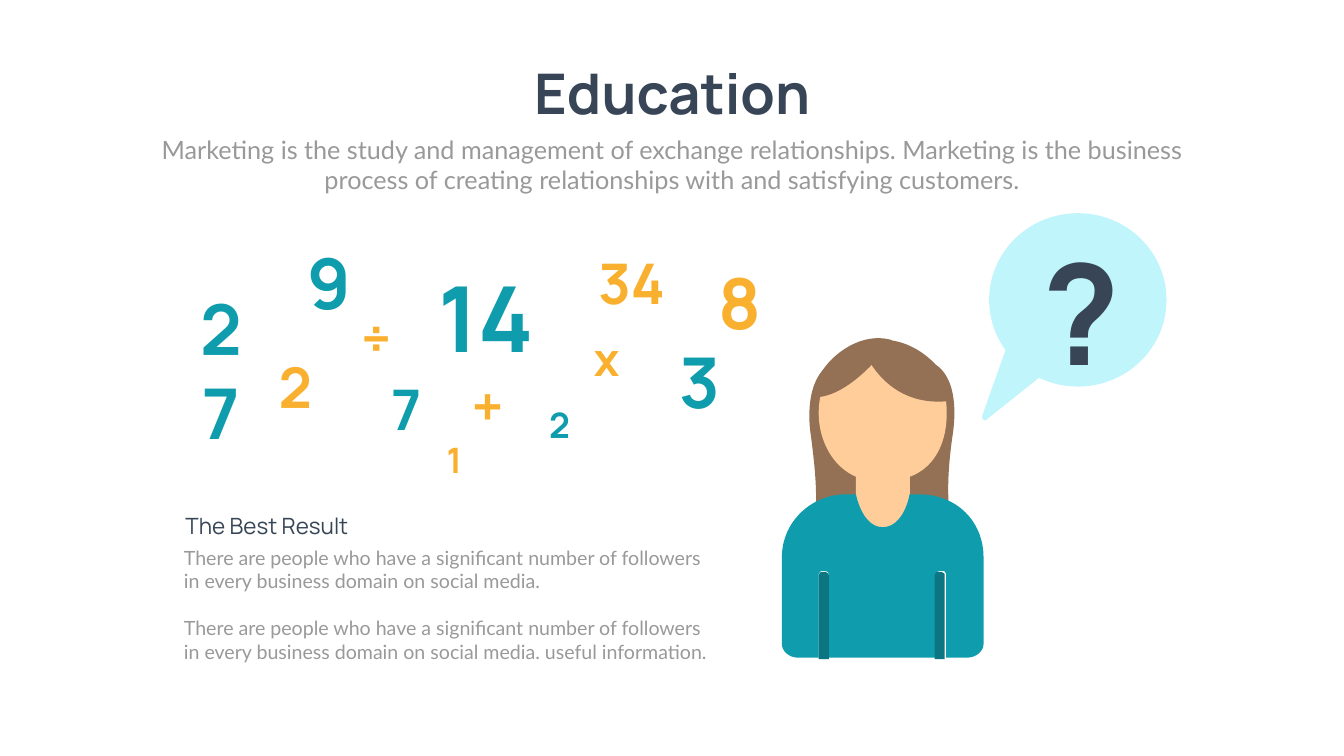
from dataclasses import dataclass
from itertools import islice
from typing import Any

import lxml.etree
import pptx
import pptx.dml.color
import pptx.enum.shapes
import pptx.enum.text
import pptx.oxml.ns
import pptx.util

RGBColor = pptx.dml.color.RGBColor
Inches = pptx.util.Inches
Alignment = pptx.enum.text.PP_ALIGN

WHITE = RGBColor(0xFE, 0xFF, 0xFE)
NAVY = RGBColor(0x37, 0x45, 0x56)
GRAY = RGBColor(0x99, 0x99, 0x99)
TEAL = RGBColor(0x0F, 0x9D, 0xAD)
DARK_TEAL = RGBColor(0x0B, 0x75, 0x81)
ORANGE = RGBColor(0xFA, 0xB0, 0x2F)
HAIR = RGBColor(0x94, 0x71, 0x54)
SKIN = RGBColor(0xFF, 0xCD, 0x99)
PALE_CYAN = RGBColor(0xC0, 0xF5, 0xFB)

FOLLOWERS = "There are people who have a significant number of followers in every business domain on social media."

Point = tuple[float, ...]


@dataclass(frozen=True)
class Outline:
    color: RGBColor
    start: Point
    segments: list[Point]


@dataclass(frozen=True)
class Label:
    paragraphs: list[str]
    box: tuple[float, float, float, float]
    size: int
    color: RGBColor
    font: str = "Manrope"
    bold: bool = True
    alignment: Any = Alignment.CENTER
    wrap: bool = False
    gap: int = 0


def sleeve(left: float) -> Outline:
    right, top, bottom, radius = left + 0.2, 11.35, 13.08, 0.06
    return Outline(DARK_TEAL, (left, bottom), [
        (left, top + radius),
        (left, top, left + radius, top, left + radius, top),
        (right - radius, top),
        (right, top, right, top + radius, right, top + radius),
        (right, bottom),
    ])


FIGURE = [
    Outline(HAIR, (17.88, 7.15), [
        (17.88, 7.15, 17.15, 10.35, 18.89, 10.74),
        (18.82, 10.14, 18.75, 9.68, 18.89, 8.68),
        (19.02, 7.88, 18.89, 6.95, 17.88, 7.15),
    ]),
    Outline(HAIR, (17.09, 7.15), [
        (17.09, 7.15, 17.84, 10.35, 16.09, 10.74),
        (16.22, 10.14, 16.22, 9.68, 16.09, 8.68),
        (15.96, 7.88, 16.16, 6.95, 17.09, 7.15),
    ]),
    Outline(SKIN, (18.78, 8.2), [
        (18.78, 7.4, 18.31, 6.81, 17.51, 6.81),
        (16.77, 6.81, 16.24, 7.4, 16.24, 8.2),
        (16.24, 8.73, 16.51, 9.26, 16.98, 9.46),
        (16.98, 10.91),
        (16.98, 11.18, 17.24, 11.44, 17.51, 11.44),
        (17.77, 11.44, 18.05, 11.18, 18.05, 10.91),
        (18.05, 9.46),
        (18.58, 9.26, 18.78, 8.73, 18.78, 8.2),
    ]),
    Outline(TEAL, (18.24, 9.81), [
        (18.04, 9.81),
        (18.04, 9.87, 17.91, 10.46, 17.51, 10.46),
        (17.1, 10.46, 16.98, 9.81, 16.98, 9.81),
        (16.77, 9.81),
        (16.11, 9.81, 15.51, 10.34, 15.51, 11.06),
        (15.51, 12.78),
        (15.51, 12.91, 15.64, 13.05, 15.84, 13.05),
        (16.24, 13.05),
        (16.24, 11.39),
        (16.24, 11.33, 16.31, 11.33, 16.31, 11.33),
        (16.37, 11.33, 16.44, 11.33, 16.44, 11.39),
        (16.44, 13.05),
        (18.57, 13.05),
        (18.57, 11.39),
        (18.57, 11.33, 18.64, 11.33, 18.71, 11.33),
        (18.71, 11.33, 18.77, 11.33, 18.77, 11.39),
        (18.77, 13.05),
        (19.17, 13.05),
        (19.38, 13.05, 19.51, 12.91, 19.51, 12.78),
        (19.51, 11.06),
        (19.51, 10.34, 18.97, 9.81, 18.24, 9.81),
    ]),
    sleeve(16.24),
    sleeve(18.54),
    Outline(HAIR, (17.7, 6.75), [
        (17.7, 6.75, 16.96, 7.82, 16.22, 7.88),
        (15.96, 7.55, 16.83, 6.49, 17.7, 6.75),
    ]),
    Outline(HAIR, (17.08, 6.83), [
        (17.08, 6.83, 17.48, 8.09, 18.8, 7.96),
        (19.06, 7.56, 18.07, 6.42, 17.08, 6.83),
    ]),
    Outline(PALE_CYAN, (20.02, 6.74), [
        (19.48, 8.26),
        (19.48, 8.34, 19.55, 8.34, 19.55, 8.34),
        (21.22, 7.01),
    ]),
]

TITLE = Label(["Education"], (10.32, 1.12, 6.03, 1.45), 80, NAVY)
SUBTITLE = Label(
    ["Marketing is the study and management of exchange relationships. "
     "Marketing is the business process of creating relationships with and satisfying customers."],
    (2.92, 2.61, 20.82, 1.31), 36, GRAY, font="Lato", bold=False, wrap=True)

LABELS = [
    Label(["2"], (5.44, 6.95, 0.84, 1.45), 80, ORANGE),
    Label(["34"], (11.71, 4.88, 1.64, 1.45), 80, ORANGE),
    Label(["7"], (7.66, 7.39, 0.8, 1.45), 80, TEAL),
    Label(["÷"], (7.04, 5.97, 0.85, 1.45), 80, ORANGE),
    Label(["14"], (8.58, 5.14, 2.12, 2.29), 130, TEAL),
    Label(["x"], (11.66, 6.5, 0.75, 1.21), 66, ORANGE),
    Label(["+"], (9.22, 7.32, 0.91, 1.45), 80, ORANGE),
    Label(["9"], (6, 4.71, 1.06, 1.78), 100, TEAL),
    Label(["3"], (13.35, 6.67, 1.05, 1.78), 100, TEAL),
    Label(["27"], (3.51, 5.62, 1.75, 1.78), 100, TEAL, wrap=True),
    Label(["2"], (10.8, 7.95, 0.6, 0.94), 50, TEAL),
    Label(["1"], (8.78, 8.66, 0.46, 0.94), 50, ORANGE),
    Label(["8"], (14.13, 5.09, 1.11, 1.78), 100, ORANGE),
    Label(["?"], (20.59, 4.42, 1.71, 3.47), 200, NAVY),
    Label(["The Best Result"], (3.58, 10.12, 5.35, 0.64), 32, NAVY,
          bold=False, alignment=Alignment.LEFT, wrap=True),
    Label([FOLLOWERS, FOLLOWERS + " useful information."], (3.55, 10.78, 10.57, 2.46), 28, GRAY,
          font="Lato", bold=False, alignment=Alignment.LEFT, wrap=True, gap=33),
]


def apply_format(target: Any, values: dict[str, Any]) -> None:
    for name, value in values.items():
        setattr(target, name, value)


def paint(shape: Any, color: RGBColor) -> None:
    shape.shadow.inherit = False
    shape.fill.solid()
    shape.fill.fore_color.rgb = color
    shape.line.fill.background()


def draw_outline(slide: Any, outline: Outline) -> None:
    points = [outline.start]
    for segment in outline.segments:
        points += zip(segment[::2], segment[1::2])
    vertices = [(Inches(x), Inches(y)) for x, y in points]
    builder = slide.shapes.build_freeform(*vertices[0], scale=1.0)
    builder.add_line_segments(vertices[1:], close=True)
    shape = builder.convert_to_shape()
    lines = iter(list(shape.element.iter(pptx.oxml.ns.qn("a:lnTo"))))
    for segment in outline.segments:
        group = list(islice(lines, len(segment) // 2))
        if len(group) == 3:
            curve = lxml.etree.Element(pptx.oxml.ns.qn("a:cubicBezTo"))
            group[0].addprevious(curve)
            for line in group:
                curve.append(line[0])
                line.getparent().remove(line)
    paint(shape, outline.color)


def write_label(shape: Any, label: Label) -> None:
    apply_format(shape, dict(zip(("left", "top", "width", "height"), map(Inches, label.box))))
    frame = shape.text_frame
    frame.text = "\n".join(label.paragraphs)
    apply_format(frame, {
        "word_wrap": label.wrap,
        "auto_size": pptx.enum.text.MSO_AUTO_SIZE.NONE,
        "vertical_anchor": pptx.enum.text.MSO_ANCHOR.TOP,
    })
    for index, paragraph in enumerate(frame.paragraphs):
        apply_format(paragraph, {
            "alignment": label.alignment,
            "space_before": pptx.util.Pt(label.gap if index else 0),
        })
        apply_format(paragraph.font, {
            "name": label.font, "size": pptx.util.Pt(label.size), "bold": label.bold})
        paragraph.font.color.rgb = label.color


def main() -> None:
    presentation = pptx.Presentation()
    apply_format(presentation, {"slide_width": Inches(26.66), "slide_height": Inches(15)})
    slide = presentation.slides.add_slide(presentation.slide_layouts[0])
    slide.background.fill.solid()
    slide.background.fill.fore_color.rgb = WHITE
    write_label(slide.shapes.title, TITLE)
    write_label(slide.placeholders[1], SUBTITLE)
    for outline in FIGURE:
        draw_outline(slide, outline)
    bubble = slide.shapes.add_shape(
        pptx.enum.shapes.MSO_SHAPE.OVAL, *map(Inches, (19.62, 4.23, 3.52, 3.44)))
    paint(bubble, PALE_CYAN)
    for label in LABELS:
        write_label(slide.shapes.add_textbox(*map(Inches, label.box)), label)
    presentation.save("out.pptx")


if __name__ == "__main__":
    main()
